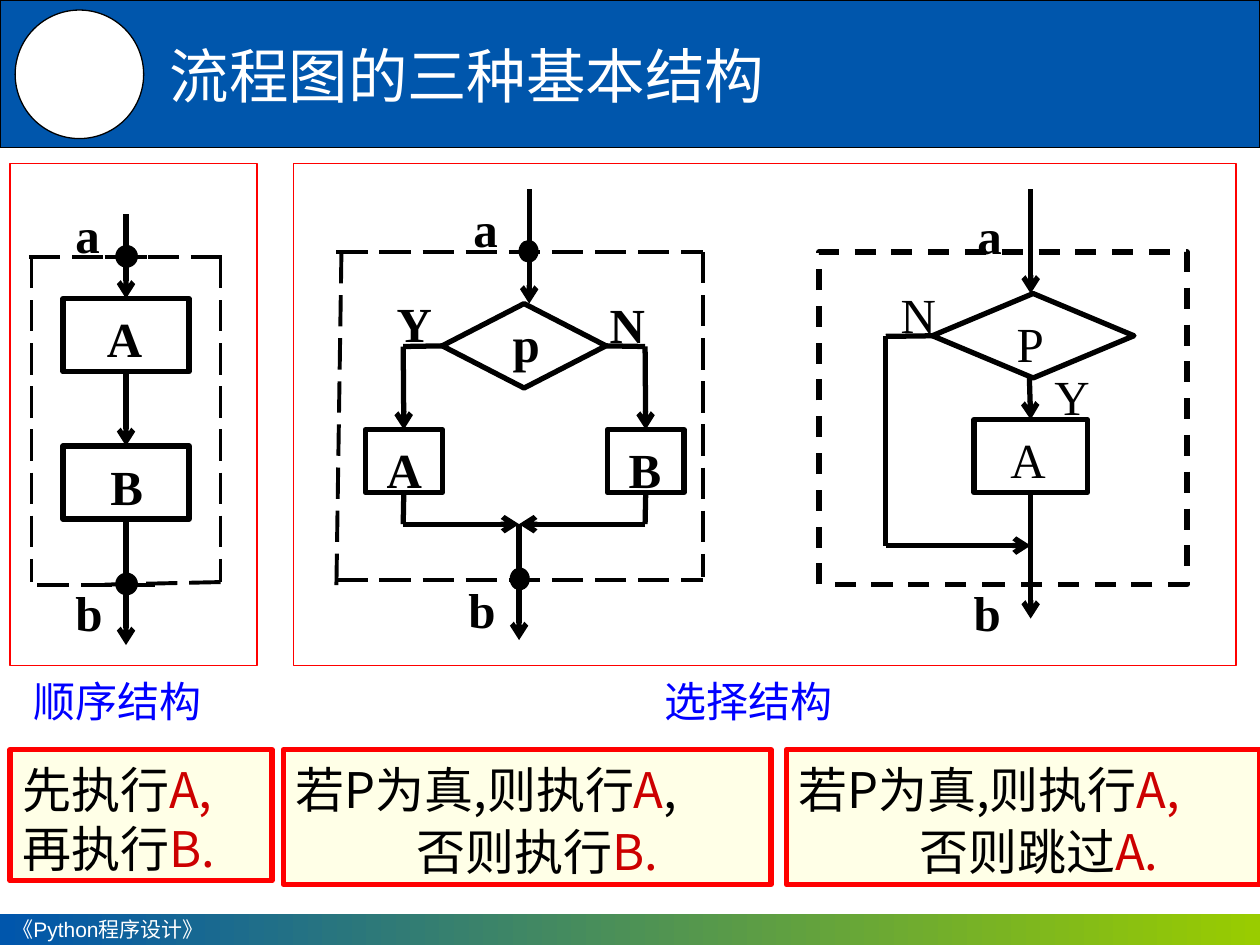
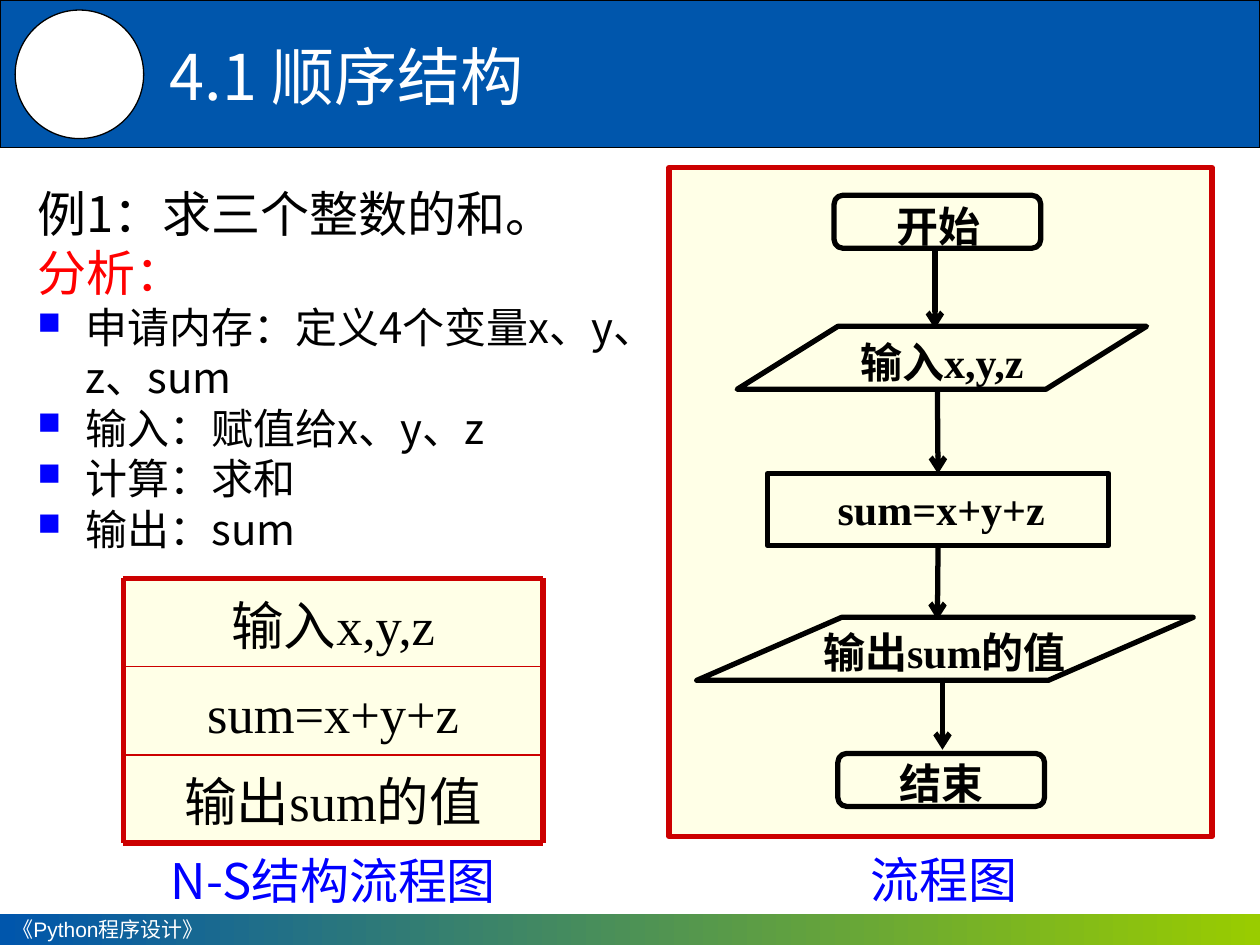
from lxml import etree
from pptx import Presentation
from pptx.dml.color import RGBColor
from pptx.enum.dml import MSO_LINE_DASH_STYLE as Dash
from pptx.enum.shapes import MSO_CONNECTOR, MSO_SHAPE as Kind
from pptx.enum.text import MSO_ANCHOR as Anchor, PP_ALIGN as Align
from pptx.oxml.ns import qn
from pptx.util import Inches, Pt

BLACK = RGBColor(0x00, 0x00, 0x00)
WHITE = RGBColor(0xFF, 0xFF, 0xFF)
BAND_BLUE = RGBColor(0x00, 0x56, 0xAC)
FOOTER_GREEN = RGBColor(0x99, 0xCC, 0x00)
CAPTION_BLUE = RGBColor(0x00, 0x00, 0xFF)
RED = RGBColor(0xFF, 0x00, 0x00)
DARK_RED = RGBColor(0xCC, 0x00, 0x00)
CREAM = RGBColor(0xFF, 0xFF, 0xE7)

SANS = "Noto Sans CJK SC"
SERIF = "Times New Roman"
ARIAL = "Arial"
TOP, LEFT, BOTTOM, RIGHT = range(4)


def add_bullet(paragraph):
    properties = paragraph._p.get_or_add_pPr()
    color = etree.SubElement(properties, qn("a:buClr"))
    etree.SubElement(color, qn("a:srgbClr"), val=str(CAPTION_BLUE))
    etree.SubElement(properties, qn("a:buSzPct"), val="75000")
    etree.SubElement(properties, qn("a:buChar"), char="■")


def write(paragraph, runs, size=28, font=SANS, color=BLACK, bold=False,
          align=Align.LEFT, before=0, margin=0, hanging=0, bullet=False):
    """Fill a paragraph from a string or from (text, color) pairs."""
    if bullet:
        add_bullet(paragraph)
    if margin or hanging:
        properties = paragraph._p.get_or_add_pPr()
        properties.set("marL", str(Inches(margin + hanging)))
        properties.set("indent", str(-Inches(hanging)))
    paragraph.alignment = align
    paragraph.line_spacing = Pt(1.2 * size)
    paragraph.space_before = Pt(before)
    for text, run_color in [(runs, color)] if isinstance(runs, str) else runs:
        run = paragraph.add_run()
        run.text = text
        run.font.size = Pt(size)
        run.font.bold = bold
        run.font.name = font
        run.font.color.rgb = run_color
        etree.SubElement(run.font._element, qn("a:ea"), typeface=SANS)


class Lesson:
    """Course style and the slide being drawn; all places are in inches."""

    def __init__(self):
        self.deck = Presentation()
        self.deck.slide_width = Inches(10)
        self.deck.slide_height = Inches(7.5)
        self.slide = None

    def new_slide(self, title, size, font):
        self.slide = self.deck.slides.add_slide(self.deck.slide_layouts[6])
        self.shape(0, 0, 10, 1.17, fill=BAND_BLUE, width=0.75)
        footer = self.shape(0, 7.25, 10, 0.25, line=None)
        footer.fill.gradient()
        footer.fill.gradient_angle = 0
        for stop, color in zip(footer.fill.gradient_stops, (BAND_BLUE, FOOTER_GREEN)):
            stop.color.rgb = color
        self.fill_text(footer, "《Python程序设计》", anchor=Anchor.MIDDLE, inset=0,
                       size=12, font=ARIAL, color=WHITE)
        self.shape(0.12, 0.08, 1.02, 1.02, Kind.OVAL, fill=WHITE, width=0.75)
        self.text(title, 1.25, 0.08, 8.75, 1, anchor=Anchor.MIDDLE,
                  size=size, font=font, color=WHITE)

    def shape(self, x, y, w, h, kind=Kind.RECTANGLE, fill=None, line=BLACK, width=3):
        shape = self.slide.shapes.add_shape(kind, *map(Inches, (x, y, w, h)))
        shape.shadow.inherit = False
        if fill is None:
            shape.fill.background()
        else:
            shape.fill.solid()
            shape.fill.fore_color.rgb = fill
        if line is None:
            shape.line.fill.background()
        else:
            shape.line.color.rgb = line
            shape.line.width = Pt(width)
        return shape

    def fill_text(self, shape, *paragraphs, anchor=Anchor.TOP, inset=0.08, **style):
        """Each paragraph is a string, a list of runs, or (runs, own style)."""
        frame = shape.text_frame
        frame.word_wrap = True
        frame.vertical_anchor = anchor
        frame.margin_top = Inches(inset)
        frame.margin_bottom = Inches(min(inset, 0.05))
        for index, item in enumerate(paragraphs):
            runs, own = item if isinstance(item, tuple) else (item, {})
            paragraph = frame.add_paragraph() if index else frame.paragraphs[0]
            write(paragraph, runs, **{**style, **own})

    def text(self, content, x, y, w, h, **style):
        box = self.slide.shapes.add_textbox(*map(Inches, (x, y, w, h)))
        paragraphs = content if isinstance(content, list) else [content]
        self.fill_text(box, *paragraphs, **style)

    def label(self, content, x, y, w=0.46, bold=True, **style):
        self.text(content, x, y, w, 0.57, font=SERIF, bold=bold, **style)

    def step(self, content, x, y, w):
        """Centred bold wording of one flowchart step."""
        self.text(content, x, y, w, 0.51, size=24, font=SERIF, bold=True,
                  align=Align.CENTER)

    def caption(self, content, x, y, w, h, size=24, align=Align.CENTER):
        self.text(content, x, y, w, h, size=size, color=CAPTION_BLUE, align=align)

    def line(self, x1, y1, x2, y2, color=BLACK, width=3, dash=None, arrow=False,
             begin=None, end=None):
        """begin and end are (shape, side) pairs to join."""
        line = self.slide.shapes.add_connector(
            MSO_CONNECTOR.STRAIGHT, *map(Inches, (x1, y1, x2, y2)))
        line.line.color.rgb = color
        line.line.width = Pt(width)
        if dash:
            line.line.dash_style = dash
        if arrow:
            etree.SubElement(line.line._get_or_add_ln(), qn("a:tailEnd"), type="arrow")
        etree.SubElement(line._element.spPr, qn("a:effectLst"))
        if begin:
            line.begin_connect(*begin)
        if end:
            line.end_connect(*end)

    def arrow(self, *ends, **joins):
        self.line(*ends, arrow=True, **joins)

    def dashes(self, *segments):
        for segment in segments:
            self.line(*segment, width=2.25, dash=Dash.LONG_DASH)

    def node(self, x, y, w=0.17):
        self.shape(x, y, w, 0.17, Kind.FLOWCHART_CONNECTOR, fill=BLACK, width=0.75)


def draw_sequence(lesson):
    lesson.dashes((0.83, 2.04, 1.83, 2.04), (1.75, 2.04, 1.75, 4.62),
                  (1.75, 4.62, 0.83, 4.64), (0.23, 2.04, 1.23, 2.04),
                  (0.25, 2.04, 0.25, 4.62), (1.23, 4.64, 0.23, 4.64))
    step_a, step_b = (lesson.shape(0.5, y, 1, 0.58) for y in (2.37, 3.54))
    lesson.arrow(1, 1.7, 1, 2.37, end=(step_a, TOP))
    lesson.arrow(1, 2.95, 1, 3.54, begin=(step_a, BOTTOM), end=(step_b, TOP))
    lesson.arrow(1, 4.12, 1, 5.12, begin=(step_b, BOTTOM))
    for y in (1.95, 4.55):
        lesson.node(0.92, y)
    lesson.label("a", 0.5, 1.54, 0.42)
    lesson.label("A", 0.75, 2.37, 0.5)
    lesson.label("B", 0.63, 3.54, 0.75, align=Align.CENTER)
    lesson.label("b", 0.5, 4.54, 0.42)


def draw_two_way_choice(lesson):
    lesson.dashes((2.67, 2, 5.58, 2), (2.71, 2, 2.67, 4.66),
                  (5.58, 2, 5.58, 4.58), (2.67, 4.6, 5.58, 4.6))
    test = lesson.shape(3.51, 2.41, 1.3, 0.67, Kind.FLOWCHART_DECISION)
    merge_x, merge_y = 4.12, 4.16
    for branch_x, test_side in ((3.2, LEFT), (5.12, RIGHT)):
        step = lesson.shape(branch_x - 0.3, 3.41, 0.61, 0.5)
        test_x = 3.51 if test_side == LEFT else 4.81
        lesson.line(test_x, 2.75, branch_x, 2.75, begin=(test, test_side))
        lesson.arrow(branch_x, 2.75, branch_x, 3.41, end=(step, TOP))
        lesson.line(branch_x, 3.91, branch_x, merge_y, begin=(step, BOTTOM))
        lesson.arrow(branch_x, merge_y, merge_x, merge_y)
    lesson.arrow(merge_x, merge_y, merge_x, 5.08)
    lesson.arrow(4.2, 1.5, 4.2, 2.41)
    lesson.node(4.05, 4.51, 0.15)
    lesson.node(4.12, 1.91, 0.15)
    for name, x, y in (("a", 3.66, 1.5), ("Y", 3.05, 2.25), ("N", 4.74, 2.26),
                       ("p", 3.97, 2.41), ("A", 2.97, 3.41), ("B", 4.89, 3.41),
                       ("b", 3.62, 4.52)):
        lesson.label(name, x, y)


def draw_one_way_choice(lesson):
    boundary = lesson.shape(6.5, 2, 2.92, 2.64)
    boundary.line.dash_style = Dash.DASH
    test = lesson.shape(7.4, 2.33, 1.6, 0.67, Kind.DIAMOND)
    step = lesson.shape(7.73, 3.33, 0.9, 0.58)
    lesson.arrow(8.18, 1.5, 8.18, 2.33)
    lesson.arrow(8.17, 3, 8.18, 3.33, end=(step, TOP))
    lesson.arrow(8.18, 3.91, 8.18, 4.91, begin=(step, BOTTOM))
    lesson.line(7.4, 2.67, 7.03, 2.67, begin=(test, LEFT))
    lesson.line(7.03, 2.67, 7.03, 4.33)
    lesson.arrow(7.03, 4.33, 8.18, 4.33)
    for name, x, y in (("a", 7.66, 1.55), ("b", 7.63, 4.54)):
        lesson.label(name, x, y)
    for name, x, y in (("N", 7.05, 2.18), ("P", 7.97, 2.41),
                       ("Y", 8.27, 2.83), ("A", 7.92, 3.33)):
        lesson.label(name, x, y, 0.48, bold=False)


def build_three_structures(lesson):
    lesson.new_slide("流程图的三种基本结构", 34, ARIAL)
    for x, w in ((0.08, 1.96), (2.33, 7.48)):
        lesson.shape(x, 1.3, w, 3.98, line=RED, width=0.75)
    draw_sequence(lesson)
    draw_two_way_choice(lesson)
    draw_one_way_choice(lesson)
    lesson.caption("顺序结构", 0.17, 5.28, 3.32, 0.51, align=Align.LEFT)
    lesson.caption("选择结构", 5.15, 5.28, 1.58, 0.51)

    second_line = {"margin": 0.96, "before": 1.5}
    condition = ("若P为真,则执行", BLACK)
    rules = (
        (0.08, 2.08, 1.04, [[("先执行", BLACK), ("A, ", DARK_RED),
                             ("再执行", BLACK), ("B.", DARK_RED)]]),
        (2.25, 3.87, 1.07, [[condition, ("A", DARK_RED), (",", BLACK)],
                            ([("否则执行", BLACK), ("B.", DARK_RED)], second_line)]),
        (6.24, 3.76, 1.07, [[condition, ("A,", DARK_RED)],
                            ([("否则跳过", BLACK), ("A.", DARK_RED)], second_line)]),
    )
    for x, w, h, paragraphs in rules:
        rule = lesson.shape(x, 5.95, w, h, fill=CREAM, line=RED)
        lesson.fill_text(rule, *paragraphs)


def draw_sum_flowchart(lesson):
    lesson.shape(5.31, 1.33, 4.31, 5.31, fill=CREAM, line=DARK_RED)
    for x, y in ((6.62, 1.55), (6.65, 5.98)):
        lesson.shape(x, y, 1.64, 0.42, Kind.FLOWCHART_ALTERNATE_PROCESS)
    for x, y, w, slant in ((5.85, 2.59, 3.25, 1.6), (5.53, 4.9, 3.94, 2.3)):
        lesson.shape(x, y, w, 0.5, Kind.PARALLELOGRAM).adjustments[0] = slant
    addition = lesson.shape(6.09, 3.76, 2.71, 0.57)
    lesson.arrow(7.42, 1.97, 7.42, 2.61)
    lesson.arrow(7.44, 3.1, 7.44, 3.76, end=(addition, TOP))
    lesson.arrow(7.44, 4.33, 7.44, 4.92, begin=(addition, BOTTOM))
    lesson.arrow(7.48, 5.38, 7.48, 5.95)
    for wording, x, y, w in (("开始", 6.97, 1.51, 0.95), ("输入x,y,z", 6.67, 2.59, 1.61),
                             ("sum=x+y+z", 5.93, 3.76, 3.08),
                             ("输出sum的值", 6.1, 4.89, 2.79), ("结束", 6.78, 5.93, 1.39)):
        lesson.step(wording, x, y, w)
    lesson.caption("流程图", 6.5, 6.66, 1.98, 0.62, size=28)


def draw_ns_chart(lesson):
    left, right, top, row = 0.98, 4.31, 4.59, 0.7
    steps = ("输入x,y,z", "sum=x+y+z", "输出sum的值")
    bottom = top + row * len(steps)
    for index, wording in enumerate(steps):
        cell = lesson.shape(left, top + index * row, right - left, row,
                            fill=CREAM, line=None)
        lesson.fill_text(cell, wording, anchor=Anchor.MIDDLE, size=30, font=SERIF,
                         align=Align.CENTER)
    for index in range(len(steps) + 1):
        y = top + index * row
        lesson.line(left, y, right, y, color=DARK_RED,
                    width=3 if index in (0, len(steps)) else 1)
    for x in (left, right):
        lesson.line(x, top, x, bottom, color=DARK_RED)
    lesson.caption("N-S结构流程图", 1.02, 6.67, 3.25, 0.62, size=28)


def build_sequence_example(lesson):
    lesson.new_slide("4.1 顺序结构", 36, SANS)
    point = {"size": 24, "hanging": 0.38, "bullet": True}
    analysis = ("申请内存：定义4个变量x、y、z、sum", "输入：赋值给x、y、z",
                "计算：求和", "输出：sum")
    lesson.text(["例1：求三个整数的和。", ("分析：", {"color": RED}),
                 *((item, point) for item in analysis)], 0.2, 1.38, 5.11, 2.95)
    draw_sum_flowchart(lesson)
    draw_ns_chart(lesson)


def main():
    lesson = Lesson()
    build_three_structures(lesson)
    build_sequence_example(lesson)
    lesson.deck.save("out.pptx")


if __name__ == "__main__":
    main()
